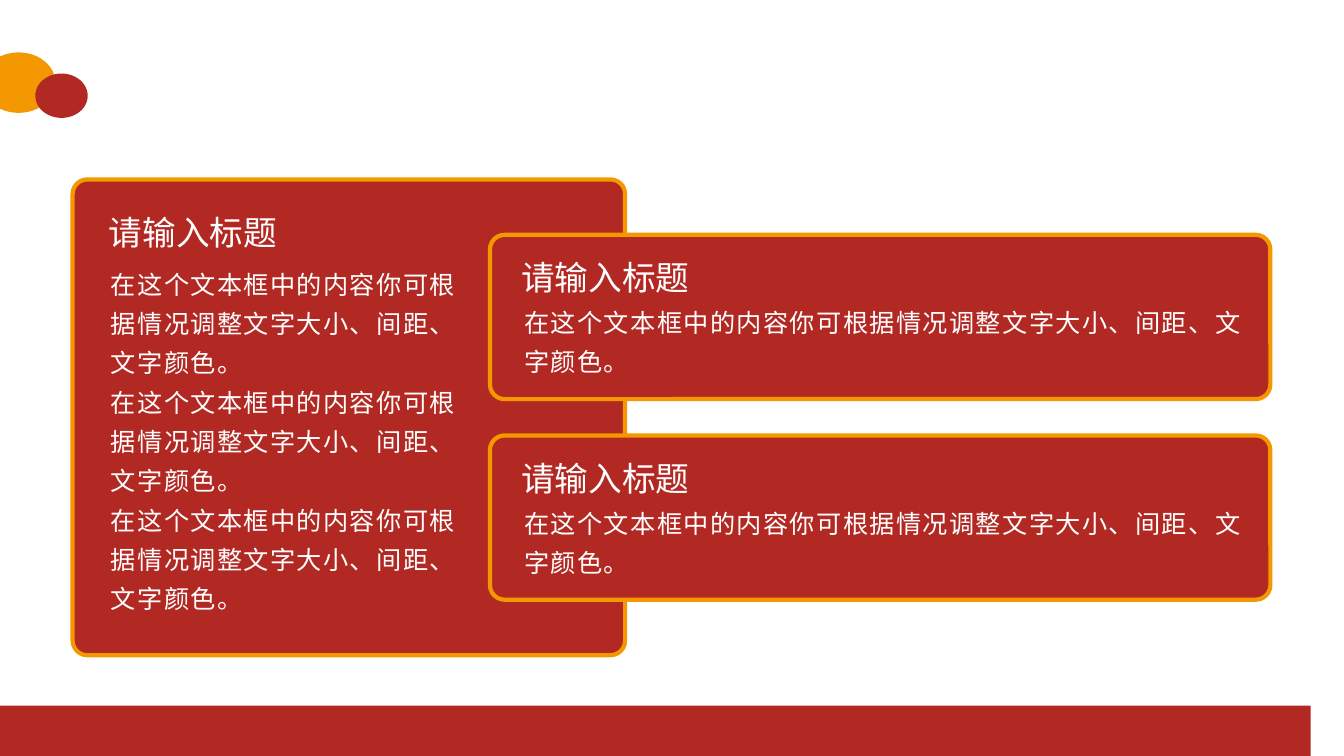
from pptx import Presentation
from pptx import util as u
from pptx.dml.color import RGBColor
from pptx.enum import shapes, text

# Content
RED, ORANGE, WHITE = "B22924", "F39800", "FFFFFF"
TITLE = "请输入标题"
BODY = "在这个文本框中的内容你可根据情况调整文字大小、间距、文字颜色。"
W, H = 13.33, 7.5

# Wide cards share one layout, repeated down the slide
WIDE_TOP, WIDE_STEP = 2.33, 1.99
WIDE_SIZE = (7.74, 1.63)
CORNER = 0.145  # corner radius in inches

# Cards: box, title offset, body offset, body size, paragraphs
CARDS = [((0.72, 1.78, 5.48, 4.72), (0.36, 0.32), (0.38, 0.8), (3.44, 3.69), [BODY] * 3)]
CARDS += [((4.86, WIDE_TOP + i * WIDE_STEP, *WIDE_SIZE), (0.31, 0.22), (0.34, 0.63),
           (7.22, 1), [BODY]) for i in range(2)]
DOTS = [((-0.18, 0.52, 0.73, 0.6), ORANGE), ((0.35, 0.73, 0.52, 0.44), RED)]

# Right half of the bottom wave: Bezier control points from crest to edge
WAVE = [(W / 2, 7.06), (8.99, 7.06), (11.15, 7.11), (12.94, 7.19)]
EDGE_Y, STEPS = 7.21, 24

prs = Presentation()
prs.slide_width, prs.slide_height = u.Inches(W), u.Inches(H)
s = prs.slides.add_slide(prs.slide_layouts[6])


def color(value):
    return RGBColor.from_string(value)


def paint(sp, fill, line=None):
    sp.shadow.inherit = False
    sp.fill.solid()
    sp.fill.fore_color.rgb = color(fill)
    if line:
        sp.line.color.rgb = color(line)
        sp.line.width = u.Pt(3)
    else:
        sp.line.fill.background()


def add_shape(kind, box, fill, line=None):
    sp = s.shapes.add_shape(kind, *map(u.Inches, box))
    paint(sp, fill, line)
    return sp


def add_text(paragraphs, box, size, font, spacing=None, tracking=None):
    tf = s.shapes.add_textbox(*map(u.Inches, box)).text_frame
    tf.word_wrap = True
    tf.auto_size = text.MSO_AUTO_SIZE.SHAPE_TO_FIT_TEXT
    tf.margin_left = tf.margin_top = tf.margin_right = tf.margin_bottom = 0
    for i, words in enumerate(paragraphs):
        p = tf.add_paragraph() if i else tf.paragraphs[0]
        if spacing:
            p.line_spacing = spacing
        r = p.add_run()
        r.text = words
        r.font.size, r.font.name = u.Pt(size), font
        r.font.color.rgb = color(WHITE)
        if tracking:
            r.font._element.set("spc", str(tracking * 100))


def bezier(t):
    weights = ((1 - t) ** 3, 3 * t * (1 - t) ** 2, 3 * t * t * (1 - t), t ** 3)
    return tuple(sum(w * pt[k] for w, pt in zip(weights, WAVE)) for k in (0, 1))


# Corner dots
for box, fill in DOTS:
    add_shape(shapes.MSO_SHAPE.OVAL, box, fill)

# Bottom wave, mirrored about the slide's centre
right = [bezier(i / STEPS) for i in range(STEPS + 1)] + [(W, EDGE_Y)]
left = [(W - x, y) for x, y in reversed(right[1:])]
outline = left + right + [(W, H), (0, H)]
builder = s.shapes.build_freeform(*outline[0], scale=u.Inches(1))
builder.add_line_segments(outline[1:], close=True)
paint(builder.convert_to_shape(), RED)

# Cards, then their text on top
for box, *_ in CARDS:
    card = add_shape(shapes.MSO_SHAPE.ROUNDED_RECTANGLE, box, RED, ORANGE)
    card.adjustments[0] = CORNER / min(box[2:])
for (x, y, *_), (tx, ty), (bx, by), size, paragraphs in CARDS:
    add_text([TITLE], (x + tx, y + ty, 2.91, 0.4), 24, "Lato")
    add_text(paragraphs, (x + bx, y + by, *size), 18, "Arial", spacing=1.3, tracking=1)

prs.save("out.pptx")
